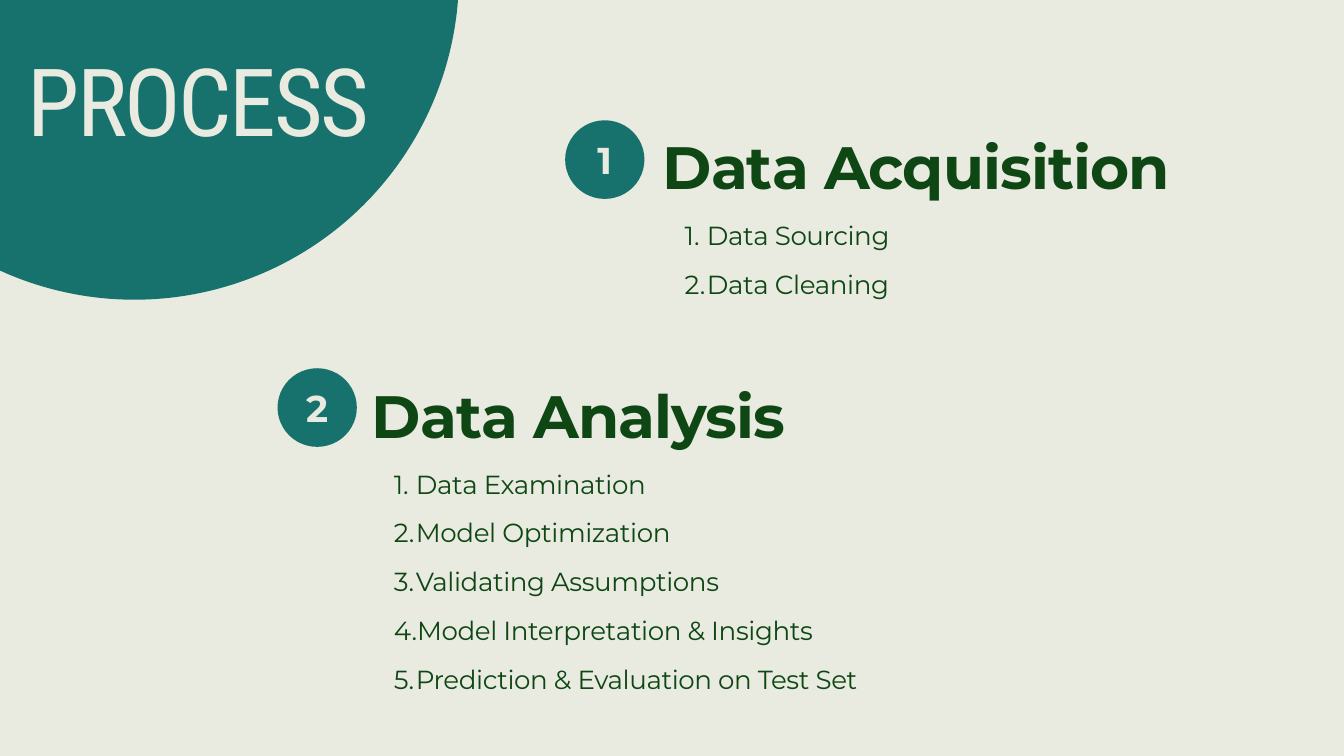
"""Build the PROCESS slide: two numbered stages with their steps."""
from lxml.etree import SubElement
from pptx import Presentation
from pptx.dml.color import RGBColor
from pptx.enum.shapes import MSO_SHAPE as Shape
from pptx.enum.text import MSO_ANCHOR as Anchor, MSO_AUTO_SIZE as AutoSize, PP_ALIGN as Align
from pptx.oxml.ns import qn
from pptx.util import Emu, Pt

COLORS = {"paper": "E9EAE0", "teal": "17726D", "green": "0E4714"}
TITLE = "PROCESS"
STAGES = [
    {
        "heading": "Data Acquisition",
        "steps": ["Data Sourcing", "Data Cleaning"],
        "badge": (841, 179),
        "body": (986, 134, 757, 383),
    },
    {
        "heading": "Data Analysis",
        "steps": [
            "Data Examination",
            "Model Optimization",
            "Validating Assumptions",
            "Model Interpretation & Insights",
            "Prediction & Evaluation on Test Set",
        ],
        "badge": (413, 548),
        "body": (553, 504, 791, 527),
    },
]
PX = 9144
INDENT, HANGING = 66, 33


def px(length):
    return Emu(length * PX)


def color(name):
    return RGBColor.from_string(COLORS[name])


def add_circle(slide, left, top, width, height):
    circle = slide.shapes.add_shape(Shape.OVAL, px(left), px(top), px(width), px(height))
    circle.shadow.inherit = False
    circle.fill.solid()
    circle.fill.fore_color.rgb = color("teal")
    circle.line.fill.background()


def add_text(slide, box, inset=0):
    frame = slide.shapes.add_textbox(*map(px, box)).text_frame
    frame.word_wrap = True
    frame.margin_left = frame.margin_right = px(inset)
    frame.margin_top = frame.margin_bottom = px(inset)
    return frame


def write(paragraph, text, size, leading, ink, font="Montserrat", bold=False, spacing=0):
    paragraph.text = text
    paragraph.line_spacing = Pt(leading)
    run = paragraph.runs[0]
    run.font.name = font
    run.font.size = Pt(size)
    run.font.bold = bold
    run.font.color.rgb = color(ink)
    run.font._element.set("spc", str(round(spacing * 100)))


def number(paragraph):
    paragraph.level = 1
    properties = paragraph._p.get_or_add_pPr()
    properties.set("marL", str(px(INDENT)))
    properties.set("indent", str(px(-HANGING)))
    SubElement(properties, qn("a:buFont"), typeface="Arial")
    SubElement(properties, qn("a:buAutoNum"), type="arabicPeriod")


def add_title(slide):
    add_circle(slide, -283, -520, 966, 966)
    title = add_text(slide, (39, 109, 513, 154))
    title.auto_size = AutoSize.SHAPE_TO_FIT_TEXT
    write(title.paragraphs[0], TITLE, 100.8, 87.7, "paper", "Roboto Condensed", spacing=-2.5)
    title.paragraphs[0].alignment = Align.CENTER


def add_body(slide, stage):
    body = add_text(slide, stage["body"])
    body.auto_size = AutoSize.SHAPE_TO_FIT_TEXT
    write(body.paragraphs[0], stage["heading"], 64, 119.7, "green", bold=True, spacing=-0.9)
    for step in stage["steps"]:
        item = body.add_paragraph()
        number(item)
        write(item, step, 28, 52.4, "green", spacing=-0.4)


def add_badge(slide, position, left, top):
    add_circle(slide, left, top, 118, 117)
    badge = add_text(slide, (left + 11, top - 7, 96, 112), inset=6)
    badge.vertical_anchor = Anchor.MIDDLE
    write(badge.paragraphs[0], str(position), 40, 62, "paper", bold=True)
    badge.paragraphs[0].alignment = Align.CENTER


def main():
    deck = Presentation()
    deck.slide_width, deck.slide_height = px(2000), px(1125)
    slide = deck.slides.add_slide(deck.slide_layouts[6])
    slide.background.fill.solid()
    slide.background.fill.fore_color.rgb = color("paper")
    add_title(slide)
    for stage in STAGES:
        add_body(slide, stage)
    for position, stage in enumerate(STAGES, 1):
        add_badge(slide, position, *stage["badge"])
    deck.save("out.pptx")


if __name__ == "__main__":
    main()
